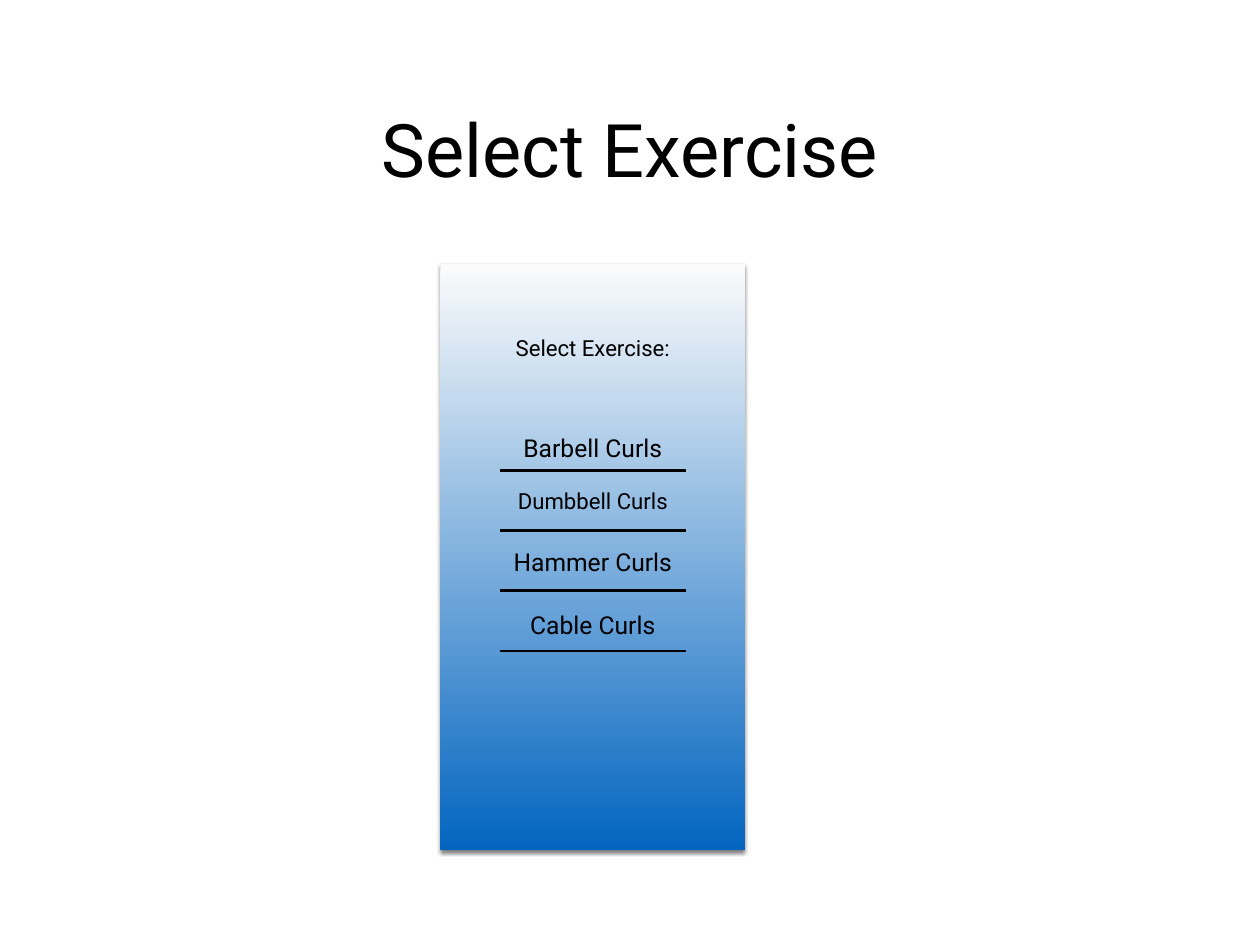
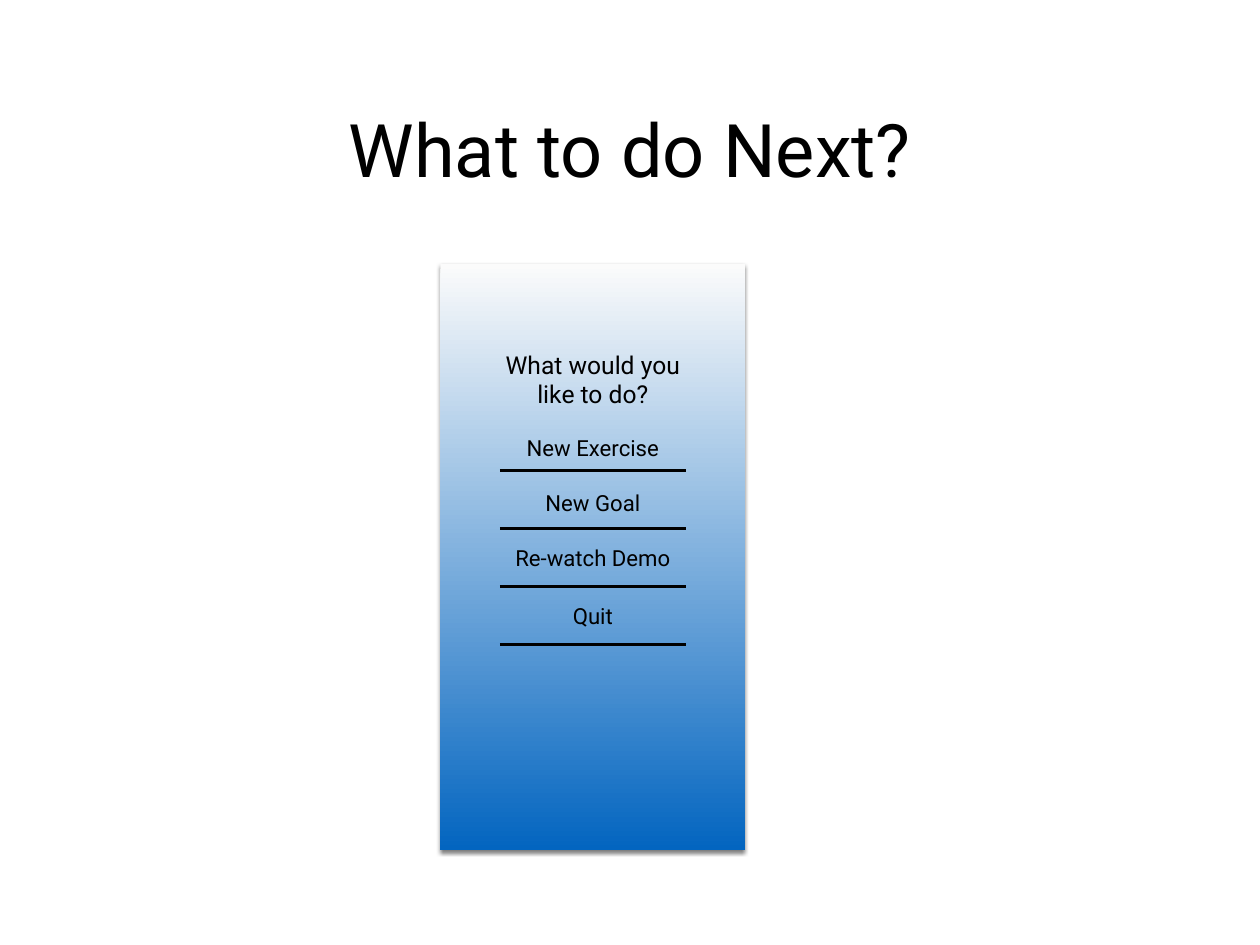
"""Build two workout app screens, each a title over a menu panel."""
from lxml.etree import SubElement
from pptx import Presentation
from pptx.dml.color import RGBColor
from pptx.enum.shapes import MSO_CONNECTOR, MSO_SHAPE
from pptx.enum.text import MSO_ANCHOR, MSO_AUTO_SIZE, PP_ALIGN
from pptx.oxml.ns import qn
from pptx.util import Inches, Pt

BLACK = RGBColor(0x00, 0x00, 0x00)
PALE = RGBColor(0xFB, 0xFB, 0xFB)
BLUE = RGBColor(0x03, 0x65, 0xC0)
FONT = "Roboto"
WIDE, HIGH = Pt(1024), Pt(768)
INSET = Inches(0.06)
LEADING = 1.17
MID = 47.05
RULE_TOP, RULE_WIDE = 49.77, 14.77
ITEM_WIDE = 14.35

SCREENS = [
    {
        "title": "Select Exercise",
        "prompt": ("Select Exercise:", 18, 36.83),
        "lines": 1,
        "wide": 14.7,
        "step": 6.37,
        "items": [
            ("Barbell Curls", 20, 47.33),
            ("Dumbbell Curls", 18, 52.95),
            ("Hammer Curls", 20, 59.42),
            ("Cable Curls", 20, 66.07),
        ],
    },
    {
        "title": "What to do Next?",
        "prompt": ("What would you like to do?", 20, 40.11),
        "lines": 2,
        "wide": 17.86,
        "step": 6.15,
        "items": [
            ("New Exercise", 18, 47.42),
            ("New Goal", 18, 53.23),
            ("Re-watch Demo", 18, 59.04),
            ("Quit", 18, 65.14),
        ],
    },
]


def across(share):
    """Turn a percentage of the slide's width into a length."""
    return round(WIDE * share / 100)


def down(share):
    """Turn a percentage of the slide's height into a length."""
    return round(HIGH * share / 100)


def write(shape, text, size, fit):
    """Set centred text in the shared style."""
    frame = shape.text_frame
    frame.text = text
    frame.word_wrap = True
    frame.auto_size = fit
    frame.vertical_anchor = MSO_ANCHOR.MIDDLE
    frame.margin_left = frame.margin_right = INSET
    frame.margin_top = frame.margin_bottom = INSET
    par = frame.paragraphs[0]
    par.alignment = PP_ALIGN.CENTER
    font = par.runs[0].font
    font.name, font.size, font.color.rgb = FONT, Pt(size), BLACK


def add_title(slide, text):
    """Place and fill the slide's title."""
    title = slide.shapes.title
    title.left, title.top = across(7.31), down(4.59)
    title.width, title.height = across(85.37), down(22.12)
    write(title, text, 60, MSO_AUTO_SIZE.NONE)


def add_panel(slide):
    """Draw the shaded panel with its soft shadow."""
    panel = slide.shapes.add_shape(
        MSO_SHAPE.RECTANGLE, across(34.95), down(27.93), across(24.19), down(62.04)
    )
    panel.line.fill.background()
    panel.fill.gradient()
    panel.fill.gradient_angle = 270
    for stop, tone in zip(panel.fill.gradient_stops, (PALE, BLUE)):
        stop.color.rgb = tone
    panel.shadow.inherit = False
    glow = SubElement(
        panel._element.spPr.find(qn("a:effectLst")),
        qn("a:outerShdw"),
        blurRad=str(Pt(3)),
        dist=str(Pt(2)),
        dir="5400000",
        rotWithShape="0",
    )
    tone = SubElement(glow, qn("a:srgbClr"), val=str(BLACK))
    SubElement(tone, qn("a:alpha"), val="50000")


def add_label(slide, text, size, mid, wide=ITEM_WIDE, lines=1):
    """Add a text box centred on the panel at the given height."""
    tall = Pt(size * LEADING * lines) + 2 * INSET
    box = slide.shapes.add_textbox(
        across(MID - wide / 2), down(mid) - tall // 2, across(wide), tall
    )
    write(box, text, size, MSO_AUTO_SIZE.SHAPE_TO_FIT_TEXT)


def add_rule(slide, top):
    """Draw a black line under a menu item."""
    left, right = across(MID - RULE_WIDE / 2), across(MID + RULE_WIDE / 2)
    rule = slide.shapes.add_connector(
        MSO_CONNECTOR.STRAIGHT, left, down(top), right, down(top)
    )
    rule.line.color.rgb = BLACK
    rule.line.width = Pt(2)
    SubElement(rule._element.spPr, qn("a:effectLst"))


def add_screen(deck, screen):
    """Add one slide with its title, panel and menu."""
    slide = deck.slides.add_slide(deck.slide_layouts.get_by_name("Title Only"))
    add_title(slide, screen["title"])
    add_panel(slide)
    add_label(slide, *screen["prompt"], screen["wide"], screen["lines"])
    for row, item in enumerate(screen["items"]):
        add_rule(slide, RULE_TOP + row * screen["step"])
        add_label(slide, *item)


def main():
    """Build and save the deck."""
    deck = Presentation()
    deck.slide_width, deck.slide_height = WIDE, HIGH
    for screen in SCREENS:
        add_screen(deck, screen)
    deck.save("out.pptx")


if __name__ == "__main__":
    main()
